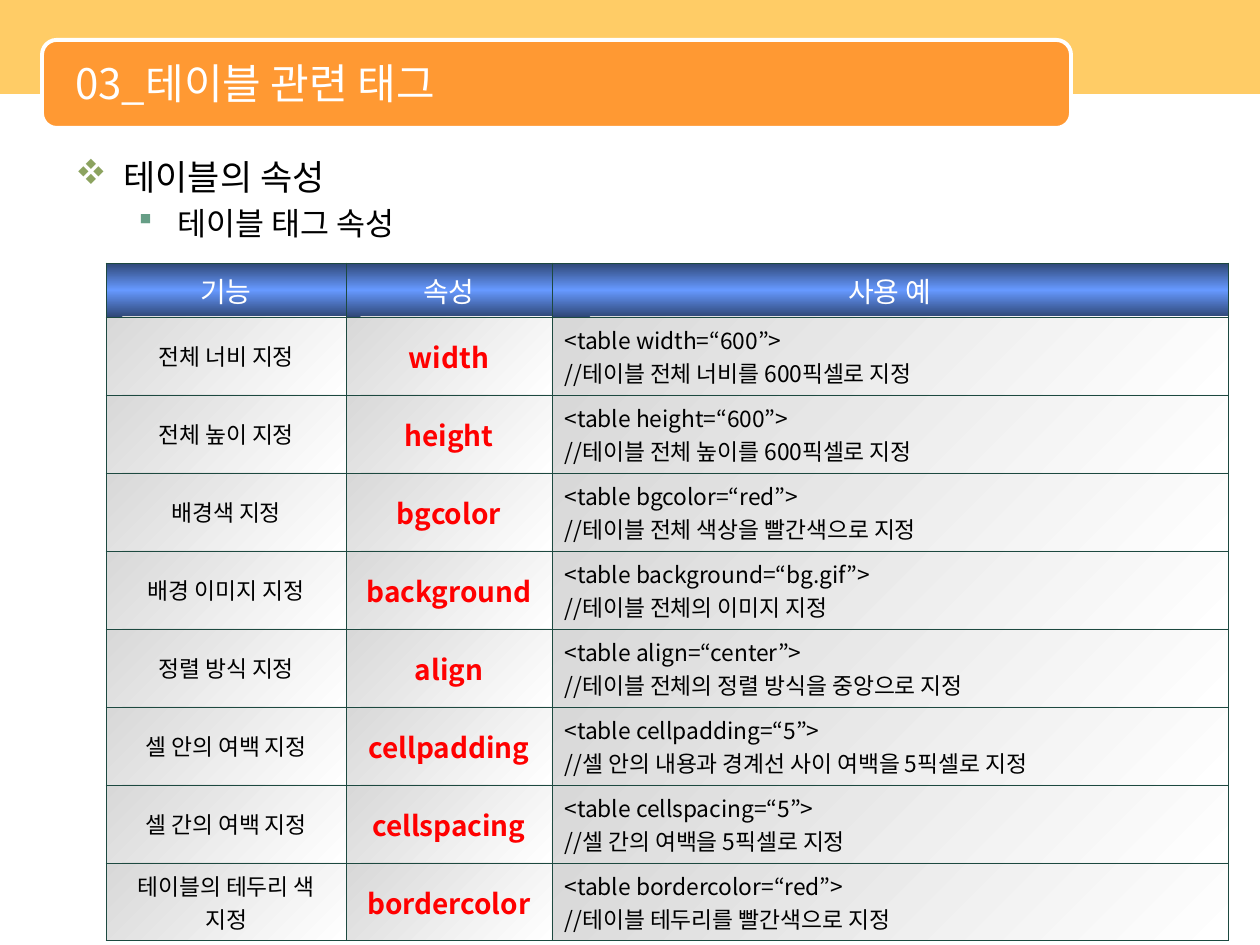
from lxml import etree
from pptx import Presentation
from pptx.dml.color import RGBColor
from pptx.enum.shapes import MSO_SHAPE
from pptx.enum.text import MSO_ANCHOR, PP_ALIGN
from pptx.oxml.ns import qn
from pptx.util import Emu, Pt

RECT, ROUND = MSO_SHAPE.RECTANGLE, MSO_SHAPE.ROUNDED_RECTANGLE
TOP, MIDDLE = MSO_ANCHOR.TOP, MSO_ANCHOR.MIDDLE
LEFT, CENTER = PP_ALIGN.LEFT, PP_ALIGN.CENTER
FONT, BULLET_FONT = "Noto Sans CJK KR", "Wingdings"

TITLE = "03_테이블 관련 태그"
OUTLINE = [
    ("테이블의 속성", 20, "v", "8CA35F", 0, 48, 48),
    ("테이블 태그 속성", 18, "§", "669E86", 1, 102, 39),
]
HEADER = ("기능", "속성", "사용 예")
ATTRIBUTES = [
    ("전체 너비 지정", "width", "600", "테이블 전체 너비를 600픽셀로 지정"),
    ("전체 높이 지정", "height", "600", "테이블 전체 높이를 600픽셀로 지정"),
    ("배경색 지정", "bgcolor", "red", "테이블 전체 색상을 빨간색으로 지정"),
    ("배경 이미지 지정", "background", "bg.gif", "테이블 전체의 이미지 지정"),
    ("정렬 방식 지정", "align", "center", "테이블 전체의 정렬 방식을 중앙으로 지정"),
    ("셀 안의 여백 지정", "cellpadding", "5", "셀 안의 내용과 경계선 사이 여백을 5픽셀로 지정"),
    ("셀 간의 여백 지정", "cellspacing", "5", "셀 간의 여백을 5픽셀로 지정"),
    ("테이블의 테두리 색 지정", "bordercolor", "red", "테이블 테두리를 빨간색으로 지정"),
]
COLUMNS = (240, 206, 676)
HEADER_HEIGHT, ROW_HEIGHT = 54, 78
BORDER, BORDER_WIDTH = "1D4940", Pt(0.45)
HEADER_FILL = ([(0, "2F4776"), (50, "6699FF"), (100, "2F4776")], 90)
BODY_FILL = ([(0, "D8D8D8"), (100, "FFFFFF")], 45)
HEADER_FORMAT = (CENTER, {"size": Pt(16), "bold": False}, "FFFFFF")
BODY_FORMATS = [
    (CENTER, {"size": Pt(13), "bold": False}, "000000"),
    (CENTER, {"size": Pt(16), "bold": True}, "FF0000"),
    (LEFT, {"size": Pt(13), "bold": False}, "000000"),
]


def px(n):
    return Emu(round(n * 914400 / 126))


def rgb(value):
    return RGBColor.from_string(value)


def add_xml(parent, tag, **attrs):
    return etree.SubElement(parent, qn(tag), {k: str(v) for k, v in attrs.items()})


def write(p, text, color, formats):
    for i, line in enumerate(text.split("\n")):
        if i:
            p.add_line_break()
        r = p.add_run()
        r.text = line
        for name, value in {"name": FONT, **formats}.items():
            setattr(r.font, name, value)
        r.font.color.rgb = rgb(color)
        rPr = r.font._element
        rPr.set("kern", "0")
        add_xml(rPr, "a:ea", typeface=FONT)


def add_panel(s, kind, box, color):
    sp = s.shapes.add_shape(kind, *map(px, box))
    sp.shadow.inherit = False
    sp.fill.solid()
    sp.fill.fore_color.rgb = rgb(color)
    sp.line.fill.background()
    return sp


def add_text(s, box, anchor):
    tf = s.shapes.add_textbox(*map(px, box)).text_frame
    tf.word_wrap = True
    tf.vertical_anchor = anchor
    return tf


def add_bullet(p, char, color, margin, hanging):
    pPr = p._p.get_or_add_pPr()
    pPr.set("marL", str(px(margin)))
    pPr.set("indent", str(-px(hanging)))
    add_xml(add_xml(pPr, "a:buClr"), "a:srgbClr", val=color)
    add_xml(pPr, "a:buFont", typeface=BULLET_FONT, pitchFamily=2, charset=2)
    add_xml(pPr, "a:buChar", char=char)


def style_cell(cell, fill):
    stops, angle = fill
    tcPr = cell._tc.get_or_add_tcPr()
    for side in ("a:lnL", "a:lnR", "a:lnT", "a:lnB"):
        ln = add_xml(tcPr, side, w=BORDER_WIDTH)
        add_xml(add_xml(ln, "a:solidFill"), "a:srgbClr", val=BORDER)
    grad = add_xml(tcPr, "a:gradFill", rotWithShape=1)
    stop_list = add_xml(grad, "a:gsLst")
    for position, color in stops:
        stop = add_xml(stop_list, "a:gs", pos=position * 1000)
        add_xml(stop, "a:srgbClr", val=color)
    add_xml(grad, "a:lin", ang=angle * 60000, scaled=0)


def add_attribute_table(s):
    rows = [HEADER] + [
        (purpose, name, f"<table {name}=“{value}”>\n//{note}")
        for purpose, name, value, note in ATTRIBUTES
    ]
    heights = [HEADER_HEIGHT] + [ROW_HEIGHT] * len(ATTRIBUTES)
    box = (106, 263, sum(COLUMNS), sum(heights))
    table = s.shapes.add_table(len(rows), len(COLUMNS), *map(px, box)).table
    table.first_row = table.horz_banding = False
    for column, width in zip(table.columns, COLUMNS):
        column.width = px(width)
    for i, (row, height) in enumerate(zip(rows, heights)):
        table.rows[i].height = px(height)
        for j, text in enumerate(row):
            cell = table.cell(i, j)
            cell.vertical_anchor = MIDDLE
            align, formats, color = BODY_FORMATS[j] if i else HEADER_FORMAT
            p = cell.text_frame.paragraphs[0]
            p.alignment = align
            write(p, text, color, formats)
            style_cell(cell, BODY_FILL if i else HEADER_FILL)


def main():
    prs = Presentation()
    prs.slide_width, prs.slide_height = px(1260), px(945)
    s = prs.slides.add_slide(prs.slide_layouts[6])

    add_panel(s, RECT, (0, 0, 1260, 94), "FFCC66")
    banner = add_panel(s, ROUND, (42, 40, 1029, 88), "FF9933")
    banner.line.color.rgb = rgb("FFFFFF")
    banner.line.width = Pt(2.25)

    tf = add_text(s, (63, 44, 998, 78), MIDDLE)
    write(tf.paragraphs[0], TITLE, "FFFFFF", {"size": Pt(24)})

    tf = add_text(s, (63, 149, 1134, 733), TOP)
    for i, (text, size, char, color, level, margin, hanging) in enumerate(OUTLINE):
        p = tf.add_paragraph() if i else tf.paragraphs[0]
        p.level = level
        p.space_before = Pt(4 if i else 0)
        add_bullet(p, char, color, margin, hanging)
        write(p, text, "000000", {"size": Pt(size)})

    add_attribute_table(s)
    prs.save("out.pptx")


if __name__ == "__main__":
    main()
